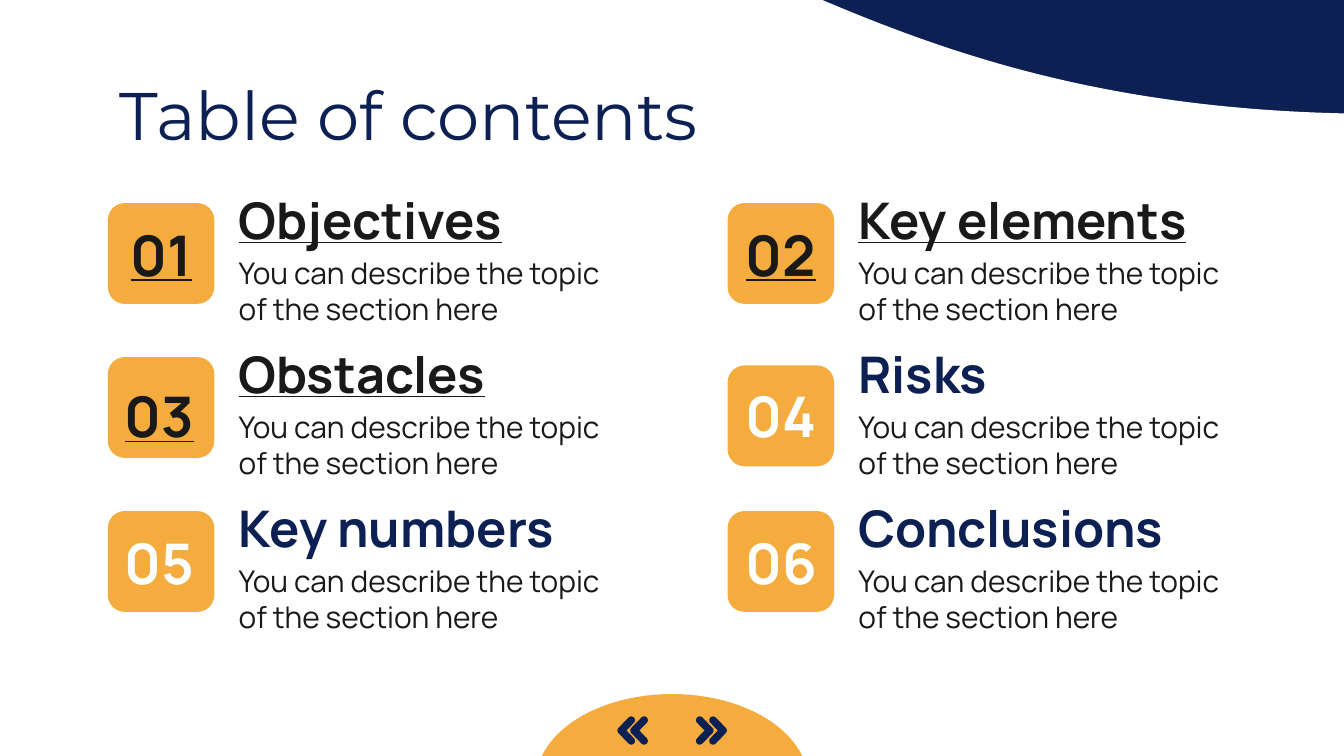
from math import cos, radians, sin

from pptx import Presentation
from pptx.dml.color import RGBColor
from pptx.enum.shapes import MSO_SHAPE
from pptx.enum.text import MSO_ANCHOR, MSO_AUTO_SIZE, PP_ALIGN
from pptx.util import Pt

NAVY = RGBColor(0x0C, 0x20, 0x54)
ORANGE = RGBColor(0xF3, 0xAC, 0x3D)
INK = RGBColor(0x19, 0x19, 0x19)
WHITE = RGBColor(0xFF, 0xFF, 0xFF)
WAVE, PIE, TILE = MSO_SHAPE.FLOWCHART_DOCUMENT, MSO_SHAPE.PIE, MSO_SHAPE.ROUNDED_RECTANGLE
LEFT, CENTER = PP_ALIGN.LEFT, PP_ALIGN.CENTER
MIDDLE, NO_AUTOFIT = MSO_ANCHOR.MIDDLE, MSO_AUTO_SIZE.NONE
TITLE_ONLY = 5

DESCRIPTION = "You can describe the topic of the section here"
# heading, is a link
SECTIONS = [
    ("Objectives", True),
    ("Key elements", True),
    ("Obstacles", True),
    ("Risks", False),
    ("Key numbers", False),
    ("Conclusions", False),
]
COLUMN_PITCH, ROW_PITCH = 332, 82.5
NUMBER_TOPS = [115.2, 201.6, 280.1]


def paint(shape, color):
    shape.fill.solid()
    shape.fill.fore_color.rgb = color
    shape.line.fill.background()
    shape.shadow.inherit = False


def write(shape, text, size, color, font_name="Manrope", bold=False,
          underline=False, alignment=LEFT, line_spacing=1.0):
    frame = shape.text_frame
    frame.text = text
    frame.word_wrap = True
    frame.auto_size = NO_AUTOFIT
    frame.vertical_anchor = MIDDLE
    frame.margin_left = frame.margin_right = Pt(7.2)
    frame.margin_top = frame.margin_bottom = Pt(7.2)
    paragraph = frame.paragraphs[0]
    paragraph.alignment = alignment
    paragraph.line_spacing = line_spacing
    font = paragraph.runs[0].font
    font.name, font.size, font.color.rgb = font_name, Pt(size), color
    font.bold, font.underline = bold, underline


presentation = Presentation()
presentation.slide_width, presentation.slide_height = Pt(720), Pt(405)
slide = presentation.slides.add_slide(presentation.slide_layouts[TITLE_ONLY])
shapes = slide.shapes
slide.background.fill.solid()
slide.background.fill.fore_color.rgb = NAVY

# White page with a curved top edge, behind the title
title = shapes.title
page = shapes.add_shape(WAVE, Pt(-20.2), Pt(-84.2), Pt(761), Pt(733))
page.rotation = 180
page.element.spPr.xfrm.set("flipH", "1")
paint(page, WHITE)
title.element.addprevious(page.element)

title.left, title.top, title.width, title.height = Pt(56.9), Pt(41.8), Pt(607), Pt(38.2)
write(title, "Table of contents", 36, NAVY, font_name="Montserrat")

# Numbered sections in two columns
for index, (heading, is_link) in enumerate(SECTIONS):
    row, column = divmod(index, 2)
    x, y = column * COLUMN_PITCH, row * ROW_PITCH
    tile_top = 195.8 if heading == "Risks" else 108.8 + y
    tile = shapes.add_shape(TILE, Pt(57.8 + x), Pt(tile_top), Pt(57), Pt(54))
    paint(tile, ORANGE)

    number_width = 57 if column == 0 and row > 0 else 59
    number = shapes.add_textbox(Pt(56.9 + x), Pt(NUMBER_TOPS[row]), Pt(number_width), Pt(41.8))
    write(number, f"{index + 1:02}", 30, INK if is_link else WHITE,
          bold=True, underline=is_link, alignment=CENTER)

    heading_box = shapes.add_textbox(Pt(120.8 + x), Pt(96.4 + y), Pt(211.7), Pt(41.8))
    write(heading_box, heading, 27, INK if is_link else NAVY, bold=True, underline=is_link)

    description = shapes.add_textbox(Pt(120.8 + x), Pt(136.8 + y), Pt(211.7), Pt(38.2))
    write(description, DESCRIPTION, 16, INK)

# Navigation dome with double chevrons
dome = shapes.add_shape(PIE, Pt(287), Pt(371.8), Pt(146), Pt(94.3))
dome.adjustments[0], dome.adjustments[1] = 0, 108.31
dome.rotation = 180
dome.element.spPr.xfrm.set("flipH", "1")
paint(dome, ORANGE)

# Rounded chevron outline: centre and angle range of each arc, then the inner notch
ARCS = [((2, 2), 135, 315), ((7.4, 7.55), -45, 45), ((2, 13.1), 45, 225)]
outline = [
    (cx + 2 * cos(radians(angle)), cy + 2 * sin(radians(angle)))
    for (cx, cy), start, end in ARCS
    for angle in range(start, end + 1, 15)
] + [(4.57, 7.55)]

for origin, direction in [(372.9, 1), (380, 1), (347.1, -1), (340.2, -1)]:
    points = [(Pt(origin + direction * px), Pt(383.8 + py)) for px, py in outline]
    builder = shapes.build_freeform(*points[0])
    builder.add_line_segments(points[1:], close=True)
    paint(builder.convert_to_shape(), NAVY)

presentation.save("out.pptx")
